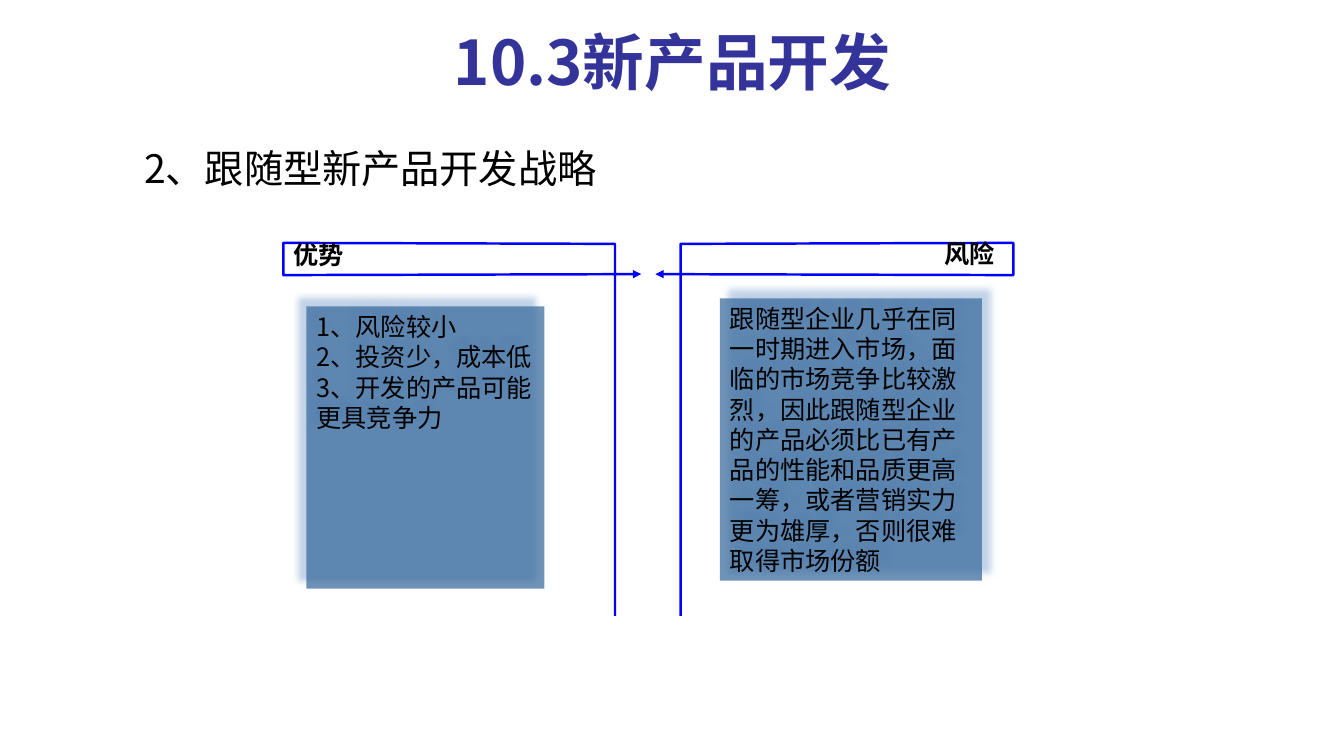
import pptx
import pptx.util
import pptx.dml.color
import pptx.enum.shapes
import pptx.enum.text
import pptx.oxml
import pptx.oxml.ns
from lxml import etree

Inches = pptx.util.Inches
Pt = pptx.util.Pt
COLORS = {"title": "333399", "text": "000000", "line": "0000FF",
          "panel": "336699", "shadow": "4F81BD"}
CJK = "Noto Sans CJK SC"


def color(name):
    return pptx.dml.color.RGBColor.from_string(COLORS[name])


def add_tag(parent, tag, **attrs):
    node = etree.SubElement(parent, pptx.oxml.ns.qn(tag))
    for key, value in attrs.items():
        node.set(key, str(value))
    return node


def write(frame, text, size, font=CJK, tint="text", bold=False):
    frame.word_wrap = True
    frame.text = text
    for para in frame.paragraphs:
        para.alignment = pptx.enum.text.PP_ALIGN.LEFT
        for run in para.runs:
            run.font.size = Pt(size)
            run.font.bold = bold
            run.font.name = font
            run.font.color.rgb = color(tint)
            add_tag(run.font._element, "a:ea", typeface=CJK)


def add_text(slide, box, text, size, **style):
    shape = slide.shapes.add_textbox(*map(Inches, box))
    write(shape.text_frame, text, size, **style)
    return shape.text_frame


def add_frame(slide, points):
    """Open outline with an arrowhead at its first point."""
    spots = [(Inches(x), Inches(y)) for x, y in points]
    pen = slide.shapes.build_freeform(*spots[0], scale=1.0)
    pen.add_line_segments(spots[1:], close=False)
    shape = pen.convert_to_shape()
    shape.shadow.inherit = False
    shape.fill.background()
    shape.line.color.rgb = color("line")
    shape.line.width = Pt(1.75)
    add_tag(shape.line._get_or_add_ln(), "a:headEnd", type="triangle")


def add_panel(slide, box, text, angle):
    """See-through panel with a soft shadow cast at the given angle."""
    rect = pptx.enum.shapes.MSO_SHAPE.RECTANGLE
    shape = slide.shapes.add_shape(rect, *map(Inches, box))
    shape.fill.solid()
    shape.fill.fore_color.rgb = color("panel")
    shape.line.fill.background()
    shape.shadow.inherit = False
    props = shape._element.spPr
    fill = props.find(".//" + pptx.oxml.ns.qn("a:srgbClr"))
    add_tag(fill, "a:alpha", val=70000)
    cast = add_tag(props.find(pptx.oxml.ns.qn("a:effectLst")), "a:outerShdw",
                   blurRad=Pt(5), dist=Pt(8.5), dir=angle * 60000)
    tint = add_tag(cast, "a:srgbClr", val=COLORS["shadow"])
    add_tag(tint, "a:alpha", val=50000)
    shape.text_frame.vertical_anchor = pptx.enum.text.MSO_ANCHOR.TOP
    write(shape.text_frame, text, 18)


def main():
    deck = pptx.Presentation()
    deck.slide_width, deck.slide_height = Inches(13.33), Inches(7.5)
    slide = deck.slides.add_slide(deck.slide_layouts[6])

    # Title and topic
    title = add_text(slide, (0.67, 0.13, 12, 0.95), "10.3新产品开发", 44,
                     tint="title", bold=True)
    title.vertical_anchor = pptx.enum.text.MSO_ANCHOR.MIDDLE
    title.paragraphs[0].alignment = pptx.enum.text.PP_ALIGN.CENTER
    topic = add_text(slide, (1.33, 1.44, 11.09, 0.6),
                     "2、跟随型新产品开发战略", 28)
    topic.paragraphs[0].line_spacing = 0.9

    # Frames: arrow tip, outer edge, inner edge
    for tip, outer, inner in ((6.36, 2.81, 6.1), (6.5, 10.05, 6.75)):
        add_frame(slide, [(tip, 2.72), (outer, 2.73), (outer, 2.41),
                          (inner, 2.42), (inner, 6.11)])

    # Panels
    add_panel(slide, (3.04, 3.04, 2.36, 2.8),
              "1、风险较小\n2、投资少，成本低\n3、开发的产品可能更具竞争力", 225)
    add_panel(slide, (7.14, 2.96, 2.6, 2.8),
              "跟随型企业几乎在同一时期进入市场，面临的市场竞争比较激烈，"
              "因此跟随型企业的产品必须比已有产品的性能和品质更高一筹，"
              "或者营销实力更为雄厚，否则很难取得市场份额", 315)

    # Labels
    for left, top, text in ((2.81, 2.33, "优势"), (9.27, 2.32, "风险")):
        add_text(slide, (left, top, 0.87, 0.4), text, 18,
                 font="Arial", bold=True)

    deck.save("out.pptx")


if __name__ == "__main__":
    main()
